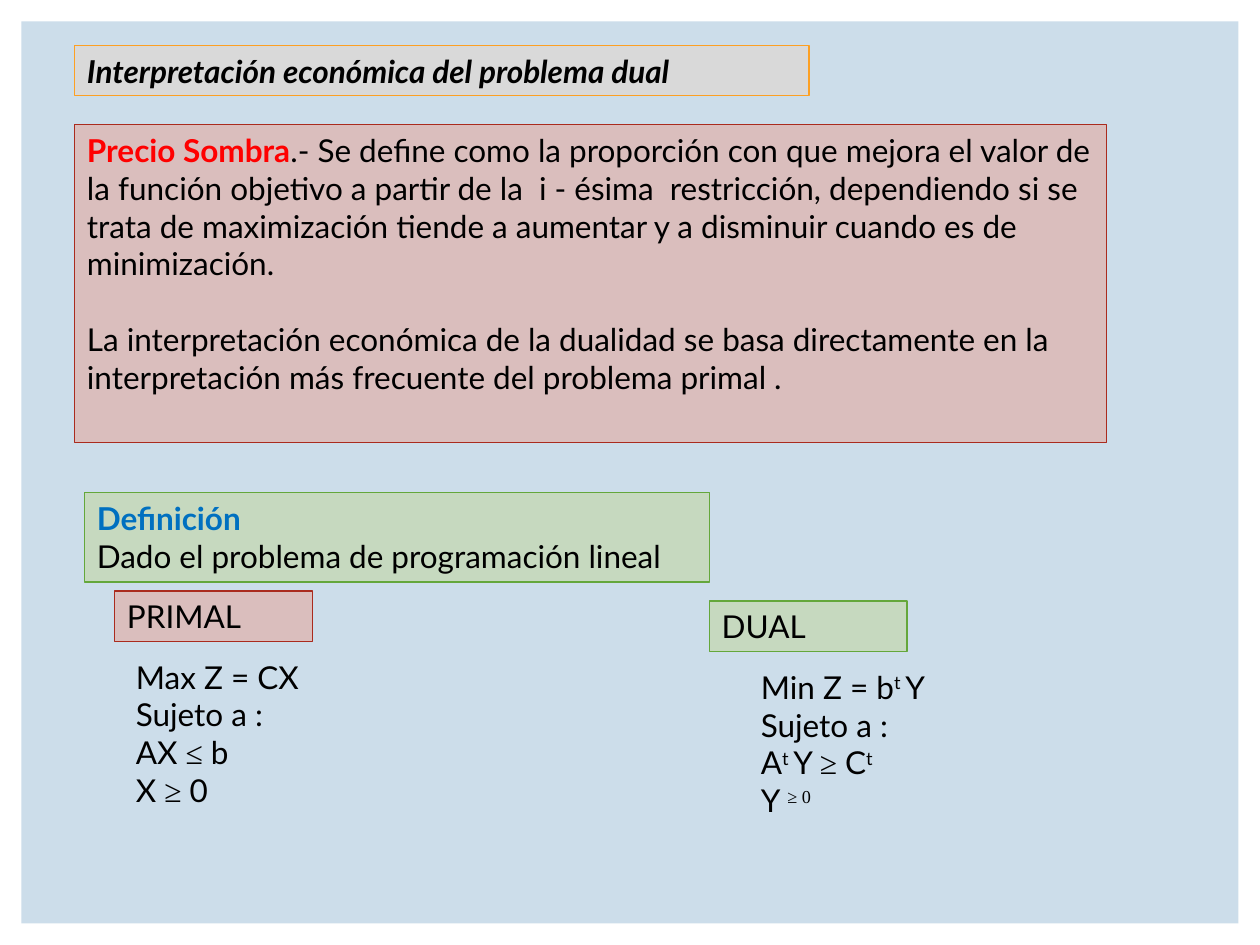
from lxml import etree
from pptx import Presentation, util as u
from pptx.dml.color import RGBColor
from pptx.enum import shapes, text
from pptx.oxml.ns import qn

WIDTH, HEIGHT = 10, 7.5
MARGIN = 0.17
LINE_GAP = 21.6

RED_BOX = ("DABEBD", "AA2B1E", 0.79)
GREEN_BOX = ("C6D9BF", "64A73B", 0.79)
GREY_BOX = ("D9D9D9", "FDA023", 0.75)

SYMBOL = {"name": "Times New Roman"}
SUPER = {"baseline": 30000}

# Each paragraph is a list of (text, format) runs.
TITLE = [[("Interpretación económica del problema dual", {"bold": True, "italic": True})]]
SHADOW_PRICE = [
    [("Precio Sombra", {"bold": True, "color": "FF0000"}),
     (".- Se define como la proporción con que mejora el valor de la función objetivo "
      "a partir de la  i - ésima  restricción, dependiendo si se trata de maximización "
      "tiende a aumentar y a disminuir cuando es de minimización.", {})],
    [("La interpretación económica de la dualidad se basa directamente en la "
      "interpretación más frecuente del problema primal .", {})],
]
DEFINITION = [
    [("Definición", {"bold": True, "color": "0070C0"})],
    [("Dado el problema de programación lineal", {})],
]
PRIMAL = [
    [("Max Z = CX", {})],
    [("Sujeto a :", {})],
    [("AX ", {}), ("≤ ", SYMBOL), ("b", {})],
    [("X ", {}), ("≥ ", SYMBOL), ("0", {})],
]
DUAL = [
    [("Min Z = b", {}), ("t ", SUPER), ("Y", {})],
    [("Sujeto a :", {})],
    [("A", {}), ("t ", SUPER), ("Y ", {}), ("≥ ", SYMBOL), ("C", {}), ("t", SUPER)],
    [("Y ", {}), ("≥ 0", SYMBOL | SUPER)],
]

# Heading, left, top, box style, then model lines with their left and width.
MODELS = [
    ("PRIMAL", 0.91, 4.69, RED_BOX, PRIMAL, 0.98, 2.28),
    ("DUAL", 5.63, 4.77, GREEN_BOX, DUAL, 5.94, 1.89),
]
HEADING_SIZE = (1.57, 0.4)
MODEL_DROP, MODEL_HEIGHT = 0.48, 1.31


def color(value):
    return RGBColor.from_string(value)


def place(shape, left, top, width, height):
    for side, value in zip(("left", "top", "width", "height"), (left, top, width, height)):
        setattr(shape, side, u.Inches(value))


def paint(shape, fill, line, weight):
    shape.fill.solid()
    shape.fill.fore_color.rgb = color(fill)
    shape.line.color.rgb = color(line)
    shape.line.width = u.Pt(weight)


def write(shape, paragraphs, gap=0):
    """Fill a shape with runs; gap is the space in points between paragraphs."""
    frame = shape.text_frame
    settings = {"word_wrap": True, "auto_size": text.MSO_AUTO_SIZE.NONE,
                "vertical_anchor": text.MSO_ANCHOR.TOP}
    for name, value in settings.items():
        setattr(frame, name, value)
    for index, runs in enumerate(paragraphs):
        paragraph = frame.add_paragraph() if index else frame.paragraphs[0]
        paragraph.alignment = text.PP_ALIGN.LEFT
        paragraph.space_before = u.Pt(gap if index else 0)
        properties = paragraph._p.get_or_add_pPr()
        properties.set("marL", "0")
        properties.set("indent", "0")
        etree.SubElement(properties, qn("a:buNone"))
        for content, changes in runs:
            add_run(paragraph, content, changes)


def add_run(paragraph, content, changes):
    run = paragraph.add_run()
    run.text = content
    style = {"name": "Lato", "size": u.Pt(18), "bold": False, "italic": False,
             "color": "000000", "baseline": 0} | changes
    run.font.color.rgb = color(style.pop("color"))
    baseline = style.pop("baseline")
    if baseline:
        run._r.get_or_add_rPr().set("baseline", str(baseline))
    for name, value in style.items():
        setattr(run.font, name, value)


def add_box(slide, position, style, paragraphs):
    box = slide.shapes.add_shape(shapes.MSO_SHAPE.RECTANGLE, *map(u.Inches, position))
    box.shadow.inherit = False
    paint(box, *style)
    write(box, paragraphs)


def add_panel(slide):
    """Draw the blue panel behind everything else."""
    size = (MARGIN, MARGIN, WIDTH - 2 * MARGIN, HEIGHT - 2 * MARGIN)
    panel = slide.shapes.add_shape(shapes.MSO_SHAPE.RECTANGLE, *map(u.Inches, size))
    panel.shadow.inherit = False
    panel.fill.solid()
    panel.fill.fore_color.rgb = color("CCDDEA")
    panel.line.fill.background()
    slide.shapes._spTree.insert(2, panel._element)


def main():
    presentation = Presentation()
    presentation.slide_width = u.Inches(WIDTH)
    presentation.slide_height = u.Inches(HEIGHT)
    slide = presentation.slides.add_slide(presentation.slide_layouts[1])
    add_panel(slide)

    title, body = slide.shapes.title, slide.placeholders[1]
    place(title, 0.59, 0.36, 5.83, 0.4)
    paint(title, *GREY_BOX)
    write(title, TITLE)
    place(body, 0.59, 0.99, 8.19, 2.52)
    paint(body, *RED_BOX)
    write(body, SHADOW_PRICE, LINE_GAP)

    add_box(slide, (0.67, 3.91, 4.96, 0.71), GREEN_BOX, DEFINITION)
    for heading, left, top, style, lines, model_left, model_width in MODELS:
        add_box(slide, (left, top, *HEADING_SIZE), style, [[(heading, {})]])
        position = (model_left, top + MODEL_DROP, model_width, MODEL_HEIGHT)
        write(slide.shapes.add_textbox(*map(u.Inches, position)), lines)

    presentation.save("out.pptx")


if __name__ == "__main__":
    main()
